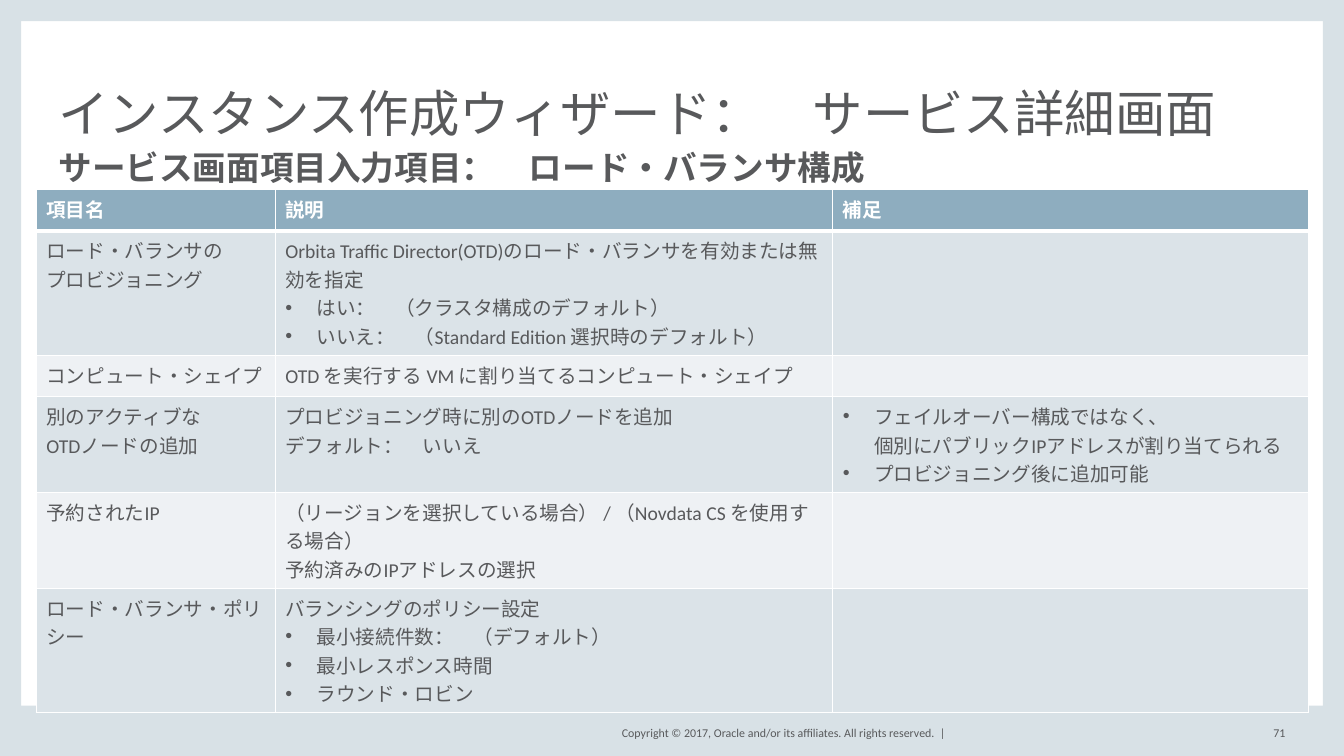
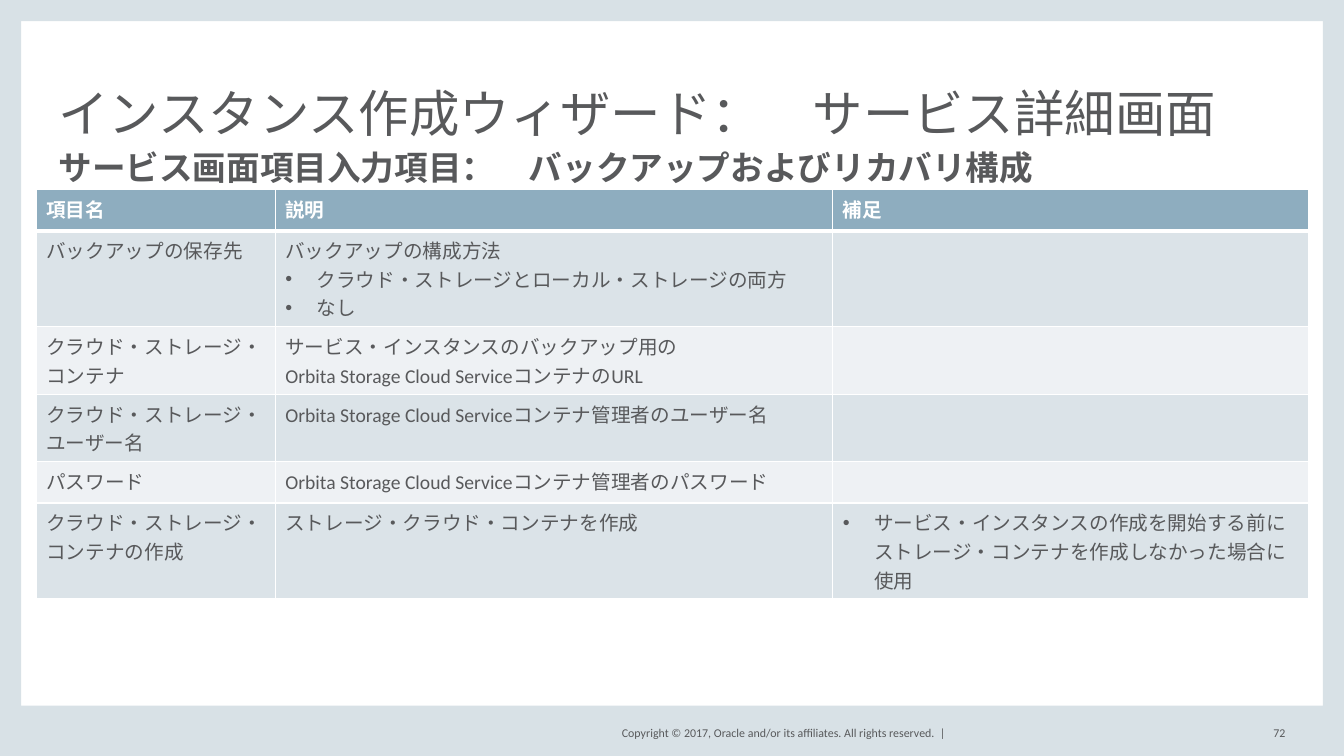
from copy import deepcopy
from dataclasses import dataclass, field

import pptx
import pptx.util
from lxml import etree
from pptx.dml.color import RGBColor
from pptx.enum.shapes import MSO_SHAPE
from pptx.enum.text import MSO_ANCHOR, MSO_AUTO_SIZE, PP_ALIGN
from pptx.oxml.ns import qn
from pptx.util import Inches


@dataclass(frozen=True)
class Style:
    size: float
    color: str
    bold: bool = False
    space: float = 1.0
    align: PP_ALIGN = PP_ALIGN.LEFT
    anchor: MSO_ANCHOR = MSO_ANCHOR.TOP


@dataclass(frozen=True)
class Theme:
    font: str = "Calibri"
    frame: str = "D8E1E6"
    head: str = "8EADBF"
    bands: tuple = ("DBE3E8", "EEF1F4")
    rule: str = "FFFFFF"
    title: Style = Style(36, "58595B", space=0.8, anchor=MSO_ANCHOR.BOTTOM)
    sub: Style = Style(24, "58595B", bold=True, space=0.9)
    foot: Style = Style(8.5, "58595B", align=PP_ALIGN.RIGHT, anchor=MSO_ANCHOR.MIDDLE)
    label: Style = Style(14, "FFFFFF", bold=True)
    body: Style = Style(14, "58595B")


@dataclass(frozen=True)
class Row:
    """Cell texts; a paragraph that starts with "•" becomes a bullet."""
    lines: int
    item: str
    desc: list
    note: list = field(default_factory=list)


@dataclass(frozen=True)
class Page:
    number: int
    sub: str
    rows: list


THEME = Theme()
WIDE, HIGH = 13.33, 7.5
EDGE, BASE = 0.21, 0.5
FRAME = [
    (0, 0, EDGE, HIGH),
    (WIDE - EDGE, 0, EDGE, HIGH),
    (0, HIGH - BASE, WIDE, BASE),
    (0, 0, WIDE, EDGE),
]
TITLE_BOX = (0.58, 0.44, 12.17, 0.97)
SUB_BOX = (0.58, 1.5, 12.17, 0.38)
COPY_BOX = (5.88, 7.17, 3.5, 0.2)
PAGE_BOX = (12.33, 7.17, 0.42, 0.2)
LEFT, TOP = 0.36, 1.88
COLS = (2.37, 5.53, 4.72)
ROW, LINE, PAD = 0.41, 0.28, 0.11
INDENT = 0.31
BULLET = "•"

TITLE = "インスタンス作成ウィザード：　サービス詳細画面"
NOTICE = "Copyright © 2017, Oracle and/or its affiliates. All rights reserved.  |"
HEADS = ("項目名", "説明", "補足")

PAGES = [
    Page(71, "サービス画面項目入力項目：　ロード・バランサ構成", [
        Row(4, "ロード・バランサの\nプロビジョニング", [
            "Orbita Traffic Director(OTD)のロード・バランサを有効または無効を指定",
            "•はい：　（クラスタ構成のデフォルト）",
            "•いいえ：　（Standard Edition 選択時のデフォルト）",
        ]),
        Row(1, "コンピュート・シェイプ",
            ["OTD を実行する VM に割り当てるコンピュート・シェイプ"]),
        Row(3, "別のアクティブな\nOTDノードの追加", [
            "プロビジョニング時に別のOTDノードを追加",
            "デフォルト：　いいえ",
        ], [
            "•フェイルオーバー構成ではなく、\n個別にパブリックIPアドレスが割り当てられる",
            "•プロビジョニング後に追加可能",
        ]),
        Row(3, "予約されたIP", [
            "（リージョンを選択している場合） / （Novdata CS を使用する場合）",
            "予約済みのIPアドレスの選択",
        ]),
        Row(4, "ロード・バランサ・ポリシー", [
            "バランシングのポリシー設定",
            "•最小接続件数：　（デフォルト）",
            "•最小レスポンス時間",
            "•ラウンド・ロビン",
        ]),
    ]),
    Page(72, "サービス画面項目入力項目：　バックアップおよびリカバリ構成", [
        Row(3, "バックアップの保存先", [
            "バックアップの構成方法",
            "•クラウド・ストレージとローカル・ストレージの両方",
            "•なし",
        ]),
        Row(2, "クラウド・ストレージ・\nコンテナ", [
            "サービス・インスタンスのバックアップ用の\n"
            "Orbita Storage Cloud ServiceコンテナのURL",
        ]),
        Row(2, "クラウド・ストレージ・\nユーザー名",
            ["Orbita Storage Cloud Serviceコンテナ管理者のユーザー名"]),
        Row(1, "パスワード",
            ["Orbita Storage Cloud Serviceコンテナ管理者のパスワード"]),
        Row(2, "クラウド・ストレージ・\nコンテナの作成",
            ["ストレージ・クラウド・コンテナを作成"],
            ["•サービス・インスタンスの作成を開始する前に"
             "ストレージ・コンテナを作成しなかった場合に使用"]),
    ]),
]


def apply(target, values: dict) -> None:
    for name, value in values.items():
        setattr(target, name, value)


def paint(fill, color: str) -> None:
    fill.solid()
    fill.fore_color.rgb = RGBColor.from_string(color)


def write(par, text: str, style: Style) -> None:
    """Fill a paragraph, with a bullet where the text starts with one."""
    par.text = text.removeprefix(BULLET)
    apply(par, {"alignment": style.align, "line_spacing": style.space})
    if text.startswith(BULLET):
        props = par._p.get_or_add_pPr()
        props.set("marL", str(Inches(INDENT)))
        props.set("indent", str(-Inches(INDENT)))
        etree.SubElement(props, qn("a:buFont"), typeface="Arial")
        etree.SubElement(props, qn("a:buChar"), char=BULLET)
    look = {"name": THEME.font, "size": pptx.util.Pt(style.size), "bold": style.bold}
    for run in par.runs:
        apply(run.font, look)
        run.font.color.rgb = RGBColor.from_string(style.color)
    for gap in par._p.findall(qn("a:br")):
        gap.insert(0, deepcopy(par.runs[0]._r.find(qn("a:rPr"))))


def place(shape, box: tuple, text: str, style: Style) -> None:
    """Move a text shape into its box and format it."""
    names = ("left", "top", "width", "height")
    apply(shape, dict(zip(names, map(Inches, box))))
    frame = shape.text_frame
    apply(frame, {
        "word_wrap": True, "auto_size": MSO_AUTO_SIZE.NONE,
        "vertical_anchor": style.anchor, "margin_left": 0, "margin_top": 0,
        "margin_right": 0, "margin_bottom": 0,
    })
    write(frame.paragraphs[0], text, style)


def label(slide, box: tuple, text: str, style: Style):
    shape = slide.shapes.add_textbox(*map(Inches, box))
    place(shape, box, text, style)
    return shape


def border(cell, top: float, base: float) -> None:
    props = cell._tc.get_or_add_tcPr()
    sides = {"a:lnL": 1, "a:lnR": 1, "a:lnT": top, "a:lnB": base}
    for spot, (tag, width) in enumerate(sides.items()):
        line = etree.Element(qn(tag), w=str(pptx.util.Pt(width)))
        fill = etree.SubElement(line, qn("a:solidFill"))
        etree.SubElement(fill, qn("a:srgbClr"), val=THEME.rule)
        props.insert(spot, line)


def fill_cell(cell, texts: list, style: Style) -> None:
    frame = cell.text_frame
    for spot, text in enumerate(texts):
        par = frame.add_paragraph() if spot else frame.paragraphs[0]
        write(par, text, style)


def add_grid(slide, rows: list) -> None:
    highs = [ROW] + [max(ROW, PAD + LINE * row.lines) for row in rows]
    box = (LEFT, TOP, sum(COLS), sum(highs))
    grid = slide.shapes.add_table(len(highs), len(COLS), *map(Inches, box)).table
    grid.horz_banding = False
    for col, width in zip(grid.columns, COLS):
        col.width = Inches(width)
    texts = [[[head] for head in HEADS]]
    texts += [[[row.item], row.desc, row.note] for row in rows]
    for spot, (high, line) in enumerate(zip(highs, texts)):
        grid.rows[spot].height = Inches(high)
        style = THEME.body if spot else THEME.label
        color = THEME.bands[(spot - 1) % 2] if spot else THEME.head
        for col, cell_text in enumerate(line):
            cell = grid.cell(spot, col)
            fill_cell(cell, cell_text, style)
            paint(cell.fill, color)
            border(cell, top=3 if spot == 1 else 1, base=1 if spot else 3)


def add_frame(slide, layout) -> None:
    """Draw the bands and the notice, then hand them to the layout."""
    parts = [label(slide, COPY_BOX, NOTICE, THEME.foot)]
    for box in FRAME:
        band = slide.shapes.add_shape(MSO_SHAPE.RECTANGLE, *map(Inches, box))
        band.shadow.inherit = False
        paint(band.fill, THEME.frame)
        band.line.fill.background()
        parts.insert(0, band)
    for part in parts:
        layout.shapes.element.append(part.element)


def add_page(deck, layout, page: Page):
    slide = deck.slides.add_slide(layout)
    place(slide.shapes.title, TITLE_BOX, TITLE, THEME.title)
    label(slide, SUB_BOX, page.sub, THEME.sub)
    label(slide, PAGE_BOX, str(page.number), THEME.foot)
    add_grid(slide, page.rows)
    return slide


def main() -> None:
    deck = pptx.Presentation()
    apply(deck, {"slide_width": Inches(WIDE), "slide_height": Inches(HIGH)})
    layout = deck.slide_layouts.get_by_name("Title Only")
    slides = [add_page(deck, layout, page) for page in PAGES]
    add_frame(slides[0], layout)
    deck.save("out.pptx")


if __name__ == "__main__":
    main()
